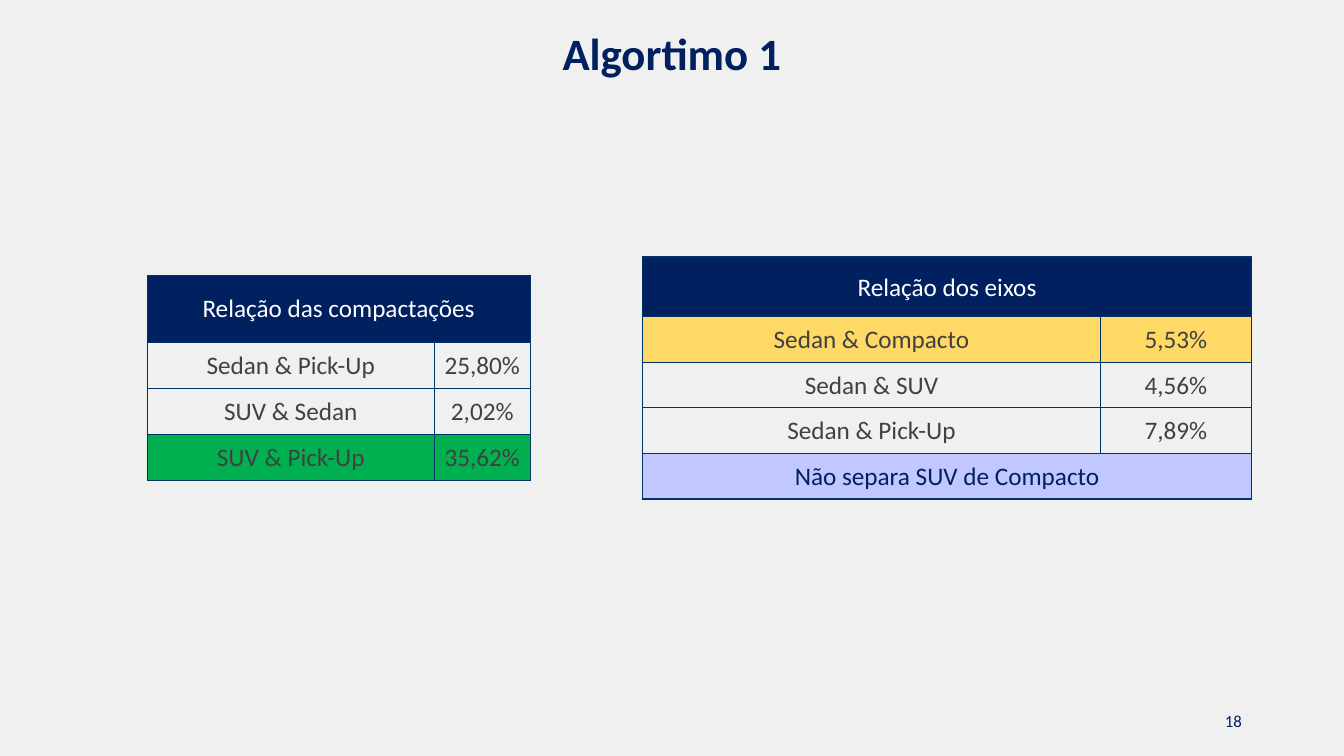
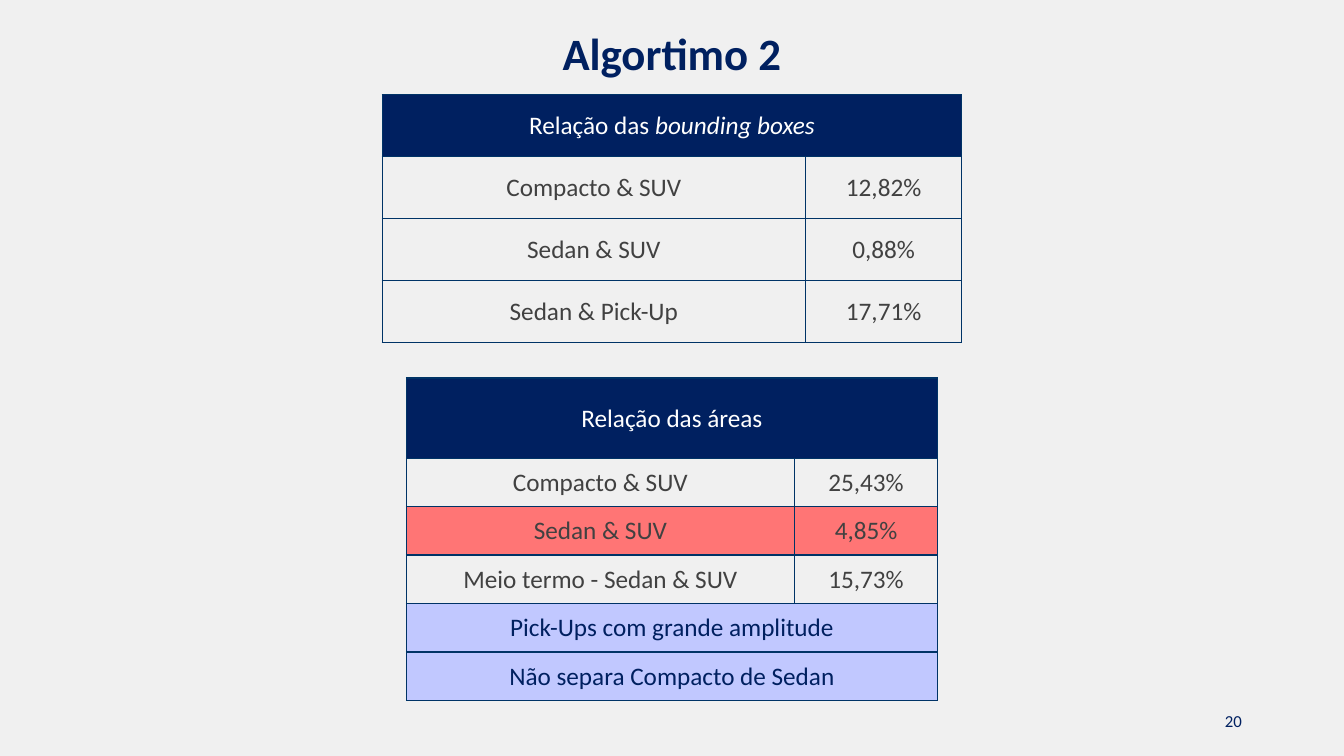
from dataclasses import dataclass

import pptx
import pptx.dml.color
import pptx.enum.text
import pptx.oxml
import pptx.oxml.ns
import pptx.util

ALIGN = pptx.enum.text.PP_ALIGN
ANCHOR = pptx.enum.text.MSO_ANCHOR


@dataclass(frozen=True)
class Theme:
    font: str = "Calibri"
    title_size: int = 32
    table_size: int = 18
    number_size: int = 12
    border_width: int = 1
    background: str = "F0F0F0"
    navy: str = "002060"
    white: str = "FFFFFF"
    text: str = "414141"
    border: str = "003366"
    green: str = "00B050"
    yellow: str = "FFD966"
    red: str = "FF7575"
    lilac: str = "C1C8FF"


@dataclass(frozen=True)
class Row:
    """A table row; without a value the label spans both columns."""
    label: str
    value: str = ""
    fill: str = ""


def rgb(color):
    return pptx.dml.color.RGBColor.from_string(color)


class Deck:
    """Holds the theme and the current slide; lengths are percentages of the slide's size."""

    def __init__(self, theme):
        self.theme = theme
        self.presentation = pptx.Presentation()
        self.presentation.slide_width = pptx.util.Inches(13.33)
        self.presentation.slide_height = pptx.util.Inches(7.5)
        background = self.presentation.slide_master.background.fill
        background.solid()
        background.fore_color.rgb = rgb(theme.background)
        self.slide = None

    def across(self, share):
        return round(self.presentation.slide_width * share / 100)

    def down(self, share):
        return round(self.presentation.slide_height * share / 100)

    def format_paragraph(self, paragraph, size, color, alignment=ALIGN.CENTER, bold=False):
        paragraph.alignment = alignment
        paragraph.font.name = self.theme.font
        paragraph.font.size = pptx.util.Pt(size)
        paragraph.font.bold = bold
        paragraph.font.color.rgb = rgb(color)

    def add_slide(self, title, number):
        layout = self.presentation.slide_layouts.get_by_name("Title Only")
        self.slide = self.presentation.slides.add_slide(layout)
        self.add_title(title)
        self.add_number(number)

    def add_title(self, text):
        shape = self.slide.shapes.title
        shape.left, shape.top = self.across(8.75), self.down(2.8)
        shape.width, shape.height = self.across(82.5), self.down(8.53)
        frame = shape.text_frame
        frame.text = text
        frame.vertical_anchor = ANCHOR.TOP
        frame.auto_size = pptx.enum.text.MSO_AUTO_SIZE.SHAPE_TO_FIT_TEXT
        self.format_paragraph(frame.paragraphs[0], self.theme.title_size, self.theme.navy, bold=True)

    def add_number(self, number):
        shape = self.slide.shapes.add_textbox(
            self.across(70.65), self.down(92.67), self.across(22.5), self.down(5.33))
        frame = shape.text_frame
        frame.word_wrap = True
        frame.vertical_anchor = ANCHOR.MIDDLE
        frame.text = str(number)
        self.format_paragraph(frame.paragraphs[0], self.theme.number_size, self.theme.navy, ALIGN.RIGHT)

    def add_table(self, heading, rows, top, columns, heading_height, row_height,
                  left=None, heading_italic=""):
        """Draw a two-column table, centred on the slide when left is not given."""
        if left is None:
            left = (100 - sum(columns)) / 2
        heights = [heading_height] + [row_height] * len(rows)
        table = self.slide.shapes.add_table(
            len(heights), len(columns), self.across(left), self.down(top),
            self.across(sum(columns)), self.down(sum(heights))).table
        table.first_row = table.horz_banding = False
        for column, width in zip(table.columns, columns):
            column.width = self.across(width)
        for row, height in zip(table.rows, heights):
            row.height = self.down(height)

        self.fill_row(table, 0, Row(heading, fill=self.theme.navy), self.theme.white)
        if heading_italic:
            run = table.cell(0, 0).text_frame.paragraphs[0].add_run()
            run.text = heading_italic
            run.font.italic = True
        for index, row in enumerate(rows, start=1):
            self.fill_row(table, index, row, self.theme.text if row.value else self.theme.navy)

    def fill_row(self, table, index, row, color):
        if not row.value:
            table.cell(index, 0).merge(table.cell(index, 1))
        for column, text in enumerate((row.label, row.value)):
            cell = table.cell(index, column)
            self.add_borders(cell)
            if row.fill:
                cell.fill.solid()
                cell.fill.fore_color.rgb = rgb(row.fill)
            else:
                cell.fill.background()
            cell.margin_left = cell.margin_right = cell.margin_top = pptx.util.Inches(0.01)
            cell.margin_bottom = 0
            cell.vertical_anchor = ANCHOR.MIDDLE
            if text:
                cell.text = text
            self.format_paragraph(cell.text_frame.paragraphs[0], self.theme.table_size, color)

    def add_borders(self, cell):
        properties = cell._tc.get_or_add_tcPr()
        width = pptx.util.Pt(self.theme.border_width)
        for side in ("lnL", "lnR", "lnT", "lnB"):
            properties.append(pptx.oxml.parse_xml(
                f'<a:{side} {pptx.oxml.ns.nsdecls("a")} w="{width}"><a:solidFill>'
                f'<a:srgbClr val="{self.theme.border}"/></a:solidFill></a:{side}>'))


def main():
    theme = Theme()
    deck = Deck(theme)

    deck.add_slide("Algortimo 1", 18)
    deck.add_table(
        "Relação das compactações",
        [Row("Sedan & Pick-Up", "25,80%"),
         Row("SUV & Sedan", "2,02%"),
         Row("SUV & Pick-Up", "35,62%", theme.green)],
        left=10.95, top=36.4, columns=(21.38, 7.12), heading_height=8.87, row_height=6.09)
    deck.add_table(
        "Relação dos eixos",
        [Row("Sedan & Compacto", "5,53%", theme.yellow),
         Row("Sedan & SUV", "4,56%"),
         Row("Sedan & Pick-Up", "7,89%"),
         Row("Não separa SUV de Compacto", fill=theme.lilac)],
        left=47.82, top=34, columns=(34.05, 11.25), heading_height=7.9, row_height=6.03)

    deck.add_slide("Algortimo 2", 20)
    deck.add_table(
        "Relação das ",
        [Row("Compacto & SUV", "12,82%"),
         Row("Sedan & SUV", "0,88%"),
         Row("Sedan & Pick-Up", "17,71%")],
        heading_italic="bounding boxes",
        top=12.53, columns=(31.5, 11.63), heading_height=8.2, row_height=8.2)
    deck.add_table(
        "Relação das áreas",
        [Row("Compacto & SUV", "25,43%"),
         Row("Sedan & SUV", "4,85%", theme.red),
         Row("Meio termo - Sedan & SUV", "15,73%"),
         Row("Pick-Ups com grande amplitude", fill=theme.lilac),
         Row("Não separa Compacto de Sedan", fill=theme.lilac)],
        top=50, columns=(28.88, 10.65), heading_height=10.6, row_height=6.41)

    deck.presentation.save("out.pptx")


if __name__ == "__main__":
    main()
